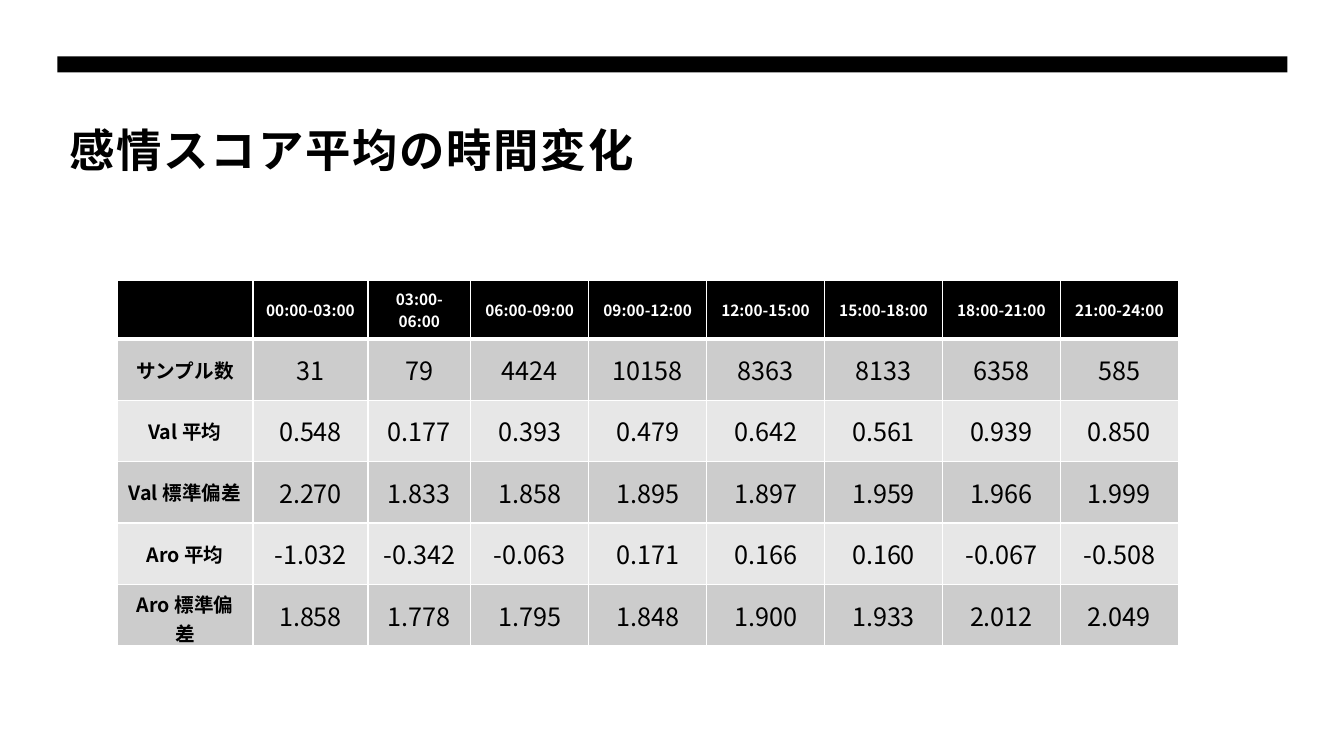
from lxml import etree
from pptx import Presentation
from pptx.dml.color import RGBColor
from pptx.enum.shapes import MSO_SHAPE
from pptx.enum.text import MSO_ANCHOR, PP_ALIGN
from pptx.oxml import parse_xml
from pptx.util import Inches, Pt

RECTANGLE = MSO_SHAPE.RECTANGLE
MIDDLE, BOTTOM = MSO_ANCHOR.MIDDLE, MSO_ANCHOR.BOTTOM
CENTER = PP_ALIGN.CENTER
FONT = "Noto Sans CJK JP"
NS = "http://schemas.openxmlformats.org/drawingml/2006/main"

PERIODS = ["00:00-03:00", "03:00-06:00", "06:00-09:00", "09:00-12:00",
           "12:00-15:00", "15:00-18:00", "18:00-21:00", "21:00-24:00"]
SCORES = [
    ["", *PERIODS],
    ["サンプル数", "31", "79", "4424", "10158", "8363", "8133", "6358", "585"],
    ["Val 平均", "0.548", "0.177", "0.393", "0.479", "0.642", "0.561", "0.939", "0.850"],
    ["Val 標準偏差", "2.270", "1.833", "1.858", "1.895", "1.897", "1.959", "1.966", "1.999"],
    ["Aro 平均", "-1.032", "-0.342", "-0.063", "0.171", "0.166", "0.160", "-0.067", "-0.508"],
    ["Aro 標準偏差", "1.858", "1.778", "1.795", "1.848", "1.900", "1.933", "2.012", "2.049"],
]
COLUMN_WIDTHS = [1.35, 1.14, 1.02] + [1.17] * 6
ROW_HEIGHTS = [0.58] + [0.61] * 5


def color(value):
    return RGBColor.from_string(value)


def style_run(run, size, value, bold):
    font = run.font
    font.name, font.size, font.bold = FONT, Pt(size), bold
    font.color.rgb = color(value)
    east_asian = etree.SubElement(font._element, f"{{{NS}}}ea")
    east_asian.set("typeface", FONT)


prs = Presentation()
prs.slide_width, prs.slide_height = Inches(13.33), Inches(7.5)
slide = prs.slides.add_slide(prs.slide_layouts[6])

# Top bar
bar = slide.shapes.add_shape(
    RECTANGLE, Inches(0.57), Inches(0.56), Inches(12.2), Inches(0.16))
bar.shadow.inherit = False
bar.fill.solid()
bar.fill.fore_color.rgb = color("000000")
bar.line.fill.background()

# Title
title = slide.shapes.add_textbox(Inches(0.57), Inches(0.96), Inches(6.4), Inches(0.89))
title_frame = title.text_frame
title_frame.word_wrap = True
title_frame.vertical_anchor = BOTTOM
title_frame.margin_left = title_frame.margin_right = title_frame.margin_top = Inches(0.12)
title_frame.margin_bottom = Inches(0.1)
title_frame.text = "感情スコア平均の時間変化"
title_line = title_frame.paragraphs[0]
title_line.line_spacing = 1.13
style_run(title_line.runs[0], 32.4, "000000", True)
title_line.runs[0].font._element.set("spc", "130")

# Score table
table = slide.shapes.add_table(
    len(SCORES), len(COLUMN_WIDTHS), Inches(1.16), Inches(2.78),
    Inches(sum(COLUMN_WIDTHS)), Inches(sum(ROW_HEIGHTS))).table
for column, width in zip(table.columns, COLUMN_WIDTHS):
    column.width = Inches(width)
for row, height in zip(table.rows, ROW_HEIGHTS):
    row.height = Inches(height)

for r, scores in enumerate(SCORES):
    for c, score in enumerate(scores):
        cell = table.cell(r, c)
        cell.vertical_anchor = MIDDLE
        cell.fill.solid()
        band = "CCCCCC" if r % 2 else "E7E7E7"
        cell.fill.fore_color.rgb = color("000000" if r == 0 else band)

        cell.text_frame.text = score
        paragraph = cell.text_frame.paragraphs[0]
        paragraph.alignment = CENTER
        for run in paragraph.runs:
            if r == 0:
                style_run(run, 11, "FFFFFF", True)
            elif c == 0:
                style_run(run, 14, "000000", True)
            else:
                style_run(run, 18, "000000", False)

        # White borders, thicker under the header
        thick = {(0, "B"), (1, "T")}
        for i, side in enumerate("LRTB"):
            weight = Pt(3 if (r, side) in thick else 1)
            border = parse_xml(
                f'<a:ln{side} xmlns:a="{NS}" w="{weight}"><a:solidFill>'
                f'<a:srgbClr val="FFFFFF"/></a:solidFill></a:ln{side}>')
            cell._tc.get_or_add_tcPr().insert(i, border)

prs.save("out.pptx")
